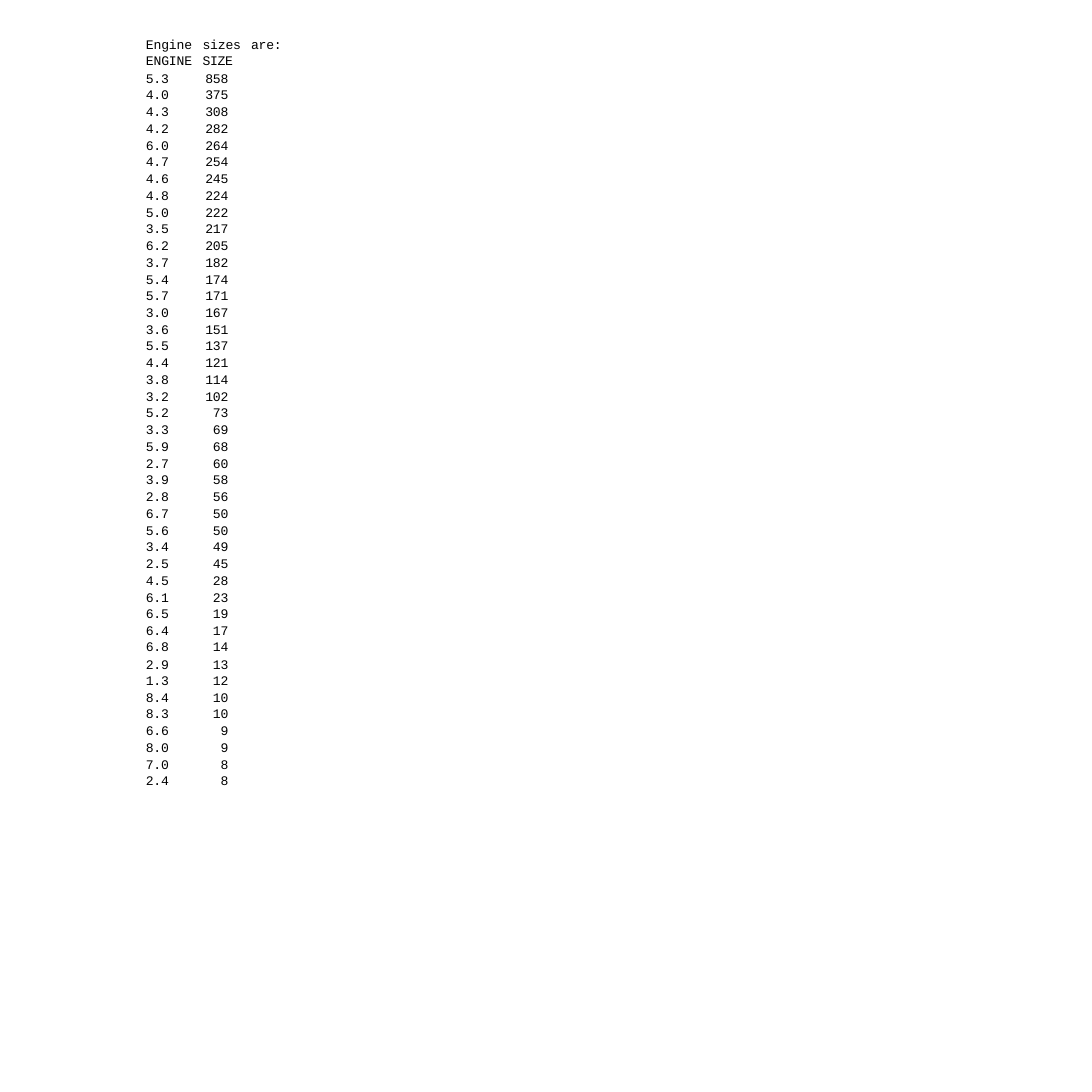
from lxml import etree
from pptx import Presentation
from pptx.dml.color import RGBColor
from pptx.enum import text
from pptx.oxml.ns import qn
from pptx.util import Inches, Pt

"""Build a slide with a table of engine sizes and their counts."""

HEADERS = [("Engine", "ENGINE"), ("sizes", "SIZE"), ("are:",)]
ENGINES = [
    ("5.3", 858), ("4.0", 375), ("4.3", 308), ("4.2", 282), ("6.0", 264),
    ("4.7", 254), ("4.6", 245), ("4.8", 224), ("5.0", 222), ("3.5", 217),
    ("6.2", 205), ("3.7", 182), ("5.4", 174), ("5.7", 171), ("3.0", 167),
    ("3.6", 151), ("5.5", 137), ("4.4", 121), ("3.8", 114), ("3.2", 102),
    ("5.2", 73), ("3.3", 69), ("5.9", 68), ("2.7", 60), ("3.9", 58),
    ("2.8", 56), ("6.7", 50), ("5.6", 50), ("3.4", 49), ("2.5", 45),
    ("4.5", 28), ("6.1", 23), ("6.5", 19), ("6.4", 17), ("6.8", 14),
    ("2.9", 13), ("1.3", 12), ("8.4", 10), ("8.3", 10), ("6.6", 9),
    ("8.0", 9), ("7.0", 8), ("2.4", 8),
]
BLACK = RGBColor(0, 0, 0)
FONT, SIZE = "Courier New", Pt(9.5)
NO_STYLE = "{2D5ABB26-0587-4C30-8999-92F81FD0307C}"
SIDE = Inches(11)
LEFT, TOP, WIDTH, HEIGHT = (Inches(n) for n in (1.44, 0.39, 1.54, 7.6))
COLUMNS = [Inches(n) for n in (0.56, 0.49, 0.4)]
INDENTS = [Inches(n) for n in (0.03, 0.04, 0.04)]
COUNT_INSET = Inches(0.19)
HEADER_ROW, ROW, LAST_ROW = Pt(24.15), Pt(12.15), Pt(11.6)
LINE_CYCLE = [(11.1, 0.2), (11, 0), (11, 0), (11.3, 0)]
LAST_LINE = (10.7, 0)


def write(p, words, line=None, before=0, indent=0, align=None, spacing=-0.2):
    p.alignment = align
    p.space_before = Pt(before)
    if line:
        p.line_spacing = Pt(line)
    p._p.get_or_add_pPr().set("marL", str(indent))
    if not words:
        etree.SubElement(p._p, qn("a:endParaRPr")).set("sz", str(int(SIZE.pt * 100)))
        return
    r = p.add_run()
    r.text = words
    r.font.name, r.font.size = FONT, SIZE
    r.font.color.rgb = BLACK
    r._r.get_or_add_rPr().set("spc", str(round(spacing * 100)))


def main():
    prs = Presentation()
    prs.slide_width = prs.slide_height = SIDE
    s = prs.slides.add_slide(prs.slide_layouts[6])
    sp = s.shapes.add_table(len(ENGINES) + 1, len(COLUMNS), LEFT, TOP, WIDTH, HEIGHT)
    table = sp.table
    table.first_row = table.horz_banding = False
    table._tbl.tblPr.find(qn("a:tableStyleId")).text = NO_STYLE

    for column, width in zip(table.columns, COLUMNS):
        column.width = width
    heights = [HEADER_ROW] + [ROW] * (len(ENGINES) - 1) + [LAST_ROW]
    for row, height in zip(table.rows, heights):
        row.height = height
    sp.width, sp.height = WIDTH, HEIGHT
    for cell in table.iter_cells():
        cell.fill.background()
        cell.margin_left = cell.margin_right = cell.margin_top = cell.margin_bottom = 0

    for col, (lines, indent) in enumerate(zip(HEADERS, INDENTS)):
        tf = table.cell(0, col).text_frame
        for n, words in enumerate(lines):
            p = tf.add_paragraph() if n else tf.paragraphs[0]
            line, before = (None, 0.6) if n else (10.9, 0)
            tight = words in ("SIZE", "are:")
            write(p, words, line, before, indent, spacing=-0.2 if tight else -0.1)

    for n, (engine, count) in enumerate(ENGINES):
        last = n == len(ENGINES) - 1
        line, before = LAST_LINE if last else LINE_CYCLE[n % len(LINE_CYCLE)]
        cells = [table.cell(n + 1, col) for col in range(len(COLUMNS))]
        cells[1].margin_right = COUNT_INSET
        paragraphs = [cell.text_frame.paragraphs[0] for cell in cells]
        write(paragraphs[0], engine, line, before, INDENTS[0])
        write(paragraphs[1], str(count), line, before, align=text.PP_ALIGN.RIGHT,
              spacing=-0.5 if count < 10 else -0.2)
        write(paragraphs[2], "", line, before)

    prs.save("out.pptx")


if __name__ == "__main__":
    main()
